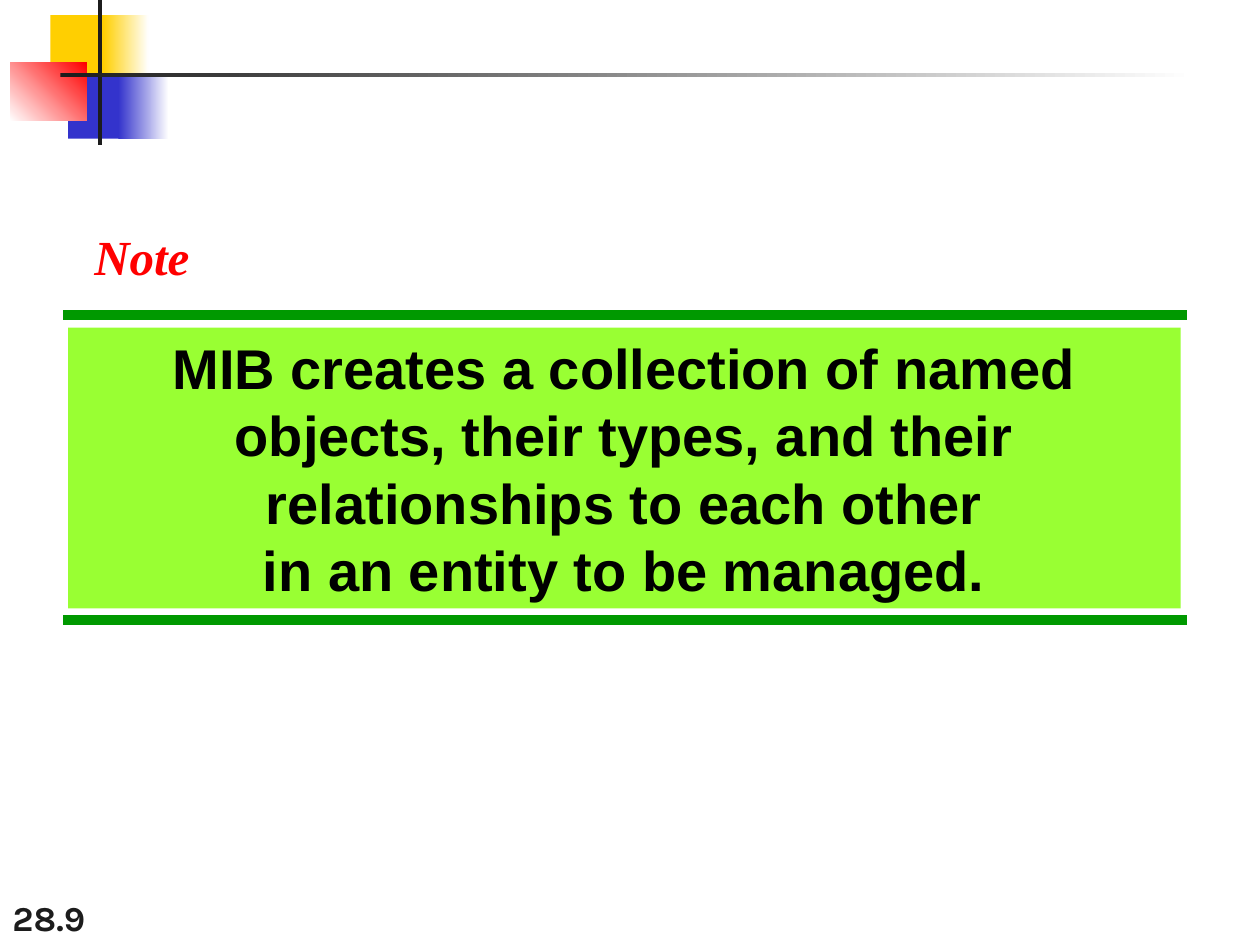
import pptx
import pptx.dml.color
import pptx.enum.shapes
import pptx.enum.text
import pptx.util
from pptx.util import Inches
from lxml import etree

YELLOW, BLUE, RED, INK, WHITE = "FFCF01", "3333CC", "FF0000", "1C1C1C", "FFFFFF"
RULE_GREEN, PANEL_GREEN, BLACK = "009900", "99FF33", "000000"

# left, top, width, height, colours (two make a gradient), gradient angle
ORNAMENT = [
    (0.4, 0.12, 0.48, 0.52, [YELLOW], 0),
    (0.82, 0.12, 0.36, 0.52, [YELLOW, WHITE], 0),
    (0.54, 0.58, 0.46, 0.52, [BLUE], 0),
    (0.94, 0.58, 0.4, 0.52, [BLUE, WHITE], 0),
    (0.08, 0.5, 0.61, 0.46, [WHITE, RED], 45),
    (0.78, 0, 0.03, 1.15, [INK], 0),
    (0.48, 0.58, 9, 0.03, [INK, WHITE], 0),
]
RULE_LEFT, RULE_RIGHT, RULE_TOPS = 0.5, 9.42, (2.5, 4.92)
STATEMENT = [
    "MIB creates a collection of named objects, their types, and their relationships to each other",
    "in an entity to be managed.",
]
PAGE_NUMBER = "28.9"
HEADING = "Note"


def rgb(color):
    return pptx.dml.color.RGBColor.from_string(color)


def add_block(slide, left, top, width, height, colors, angle=0):
    block = slide.shapes.add_shape(
        pptx.enum.shapes.MSO_SHAPE.RECTANGLE,
        Inches(left), Inches(top), Inches(width), Inches(height))
    block.shadow.inherit = False
    block.line.fill.background()
    if len(colors) == 1:
        block.fill.solid()
        block.fill.fore_color.rgb = rgb(colors[0])
    else:
        block.fill.gradient()
        block.fill.gradient_angle = angle
        for stop, color in zip(block.fill.gradient_stops, colors):
            stop.color.rgb = rgb(color)
    return block


def add_rule(slide, top):
    rule = slide.shapes.add_connector(
        pptx.enum.shapes.MSO_CONNECTOR.STRAIGHT,
        Inches(RULE_LEFT), Inches(top), Inches(RULE_RIGHT), Inches(top))
    rule.line.color.rgb = rgb(RULE_GREEN)
    rule.line.width = pptx.util.Pt(6)
    etree.SubElement(rule.element.spPr, pptx.oxml.ns.qn("a:effectLst"))


def write(frame, lines, font, size, color, italic=False,
          align=pptx.enum.text.PP_ALIGN.LEFT):
    for index, line in enumerate(lines):
        paragraph = frame.add_paragraph() if index else frame.paragraphs[0]
        paragraph.text = line
        paragraph.alignment = align
        paragraph.font.name = font
        paragraph.font.size = pptx.util.Pt(size)
        paragraph.font.bold = True
        paragraph.font.italic = italic
        paragraph.font.color.rgb = rgb(color)


def add_text_box(slide, left, top, width, height):
    return slide.shapes.add_textbox(
        Inches(left), Inches(top), Inches(width), Inches(height)).text_frame


def main():
    deck = pptx.Presentation()
    deck.slide_width, deck.slide_height = Inches(10), Inches(7.5)
    slide = deck.slides.add_slide(deck.slide_layouts[6])

    page = add_text_box(slide, 0, 7, 2.08, 0.5)
    page.word_wrap = True
    page.vertical_anchor = pptx.enum.text.MSO_ANCHOR.BOTTOM
    write(page, [PAGE_NUMBER], "Karla", 20, INK)

    for block in ORNAMENT:
        add_block(slide, *block)
    for top in RULE_TOPS:
        add_rule(slide, top)

    statement = add_block(slide, 0.54, 2.6, 8.83, 2.23, [PANEL_GREEN]).text_frame
    statement.word_wrap = True
    statement.vertical_anchor = pptx.enum.text.MSO_ANCHOR.TOP
    write(statement, STATEMENT, "Arial", 32, BLACK,
          align=pptx.enum.text.PP_ALIGN.CENTER)

    heading = add_text_box(slide, 0.65, 1.75, 0.96, 0.57)
    heading.word_wrap = False
    write(heading, [HEADING], "Times New Roman", 28, RED, italic=True)

    deck.save("out.pptx")


if __name__ == "__main__":
    main()
